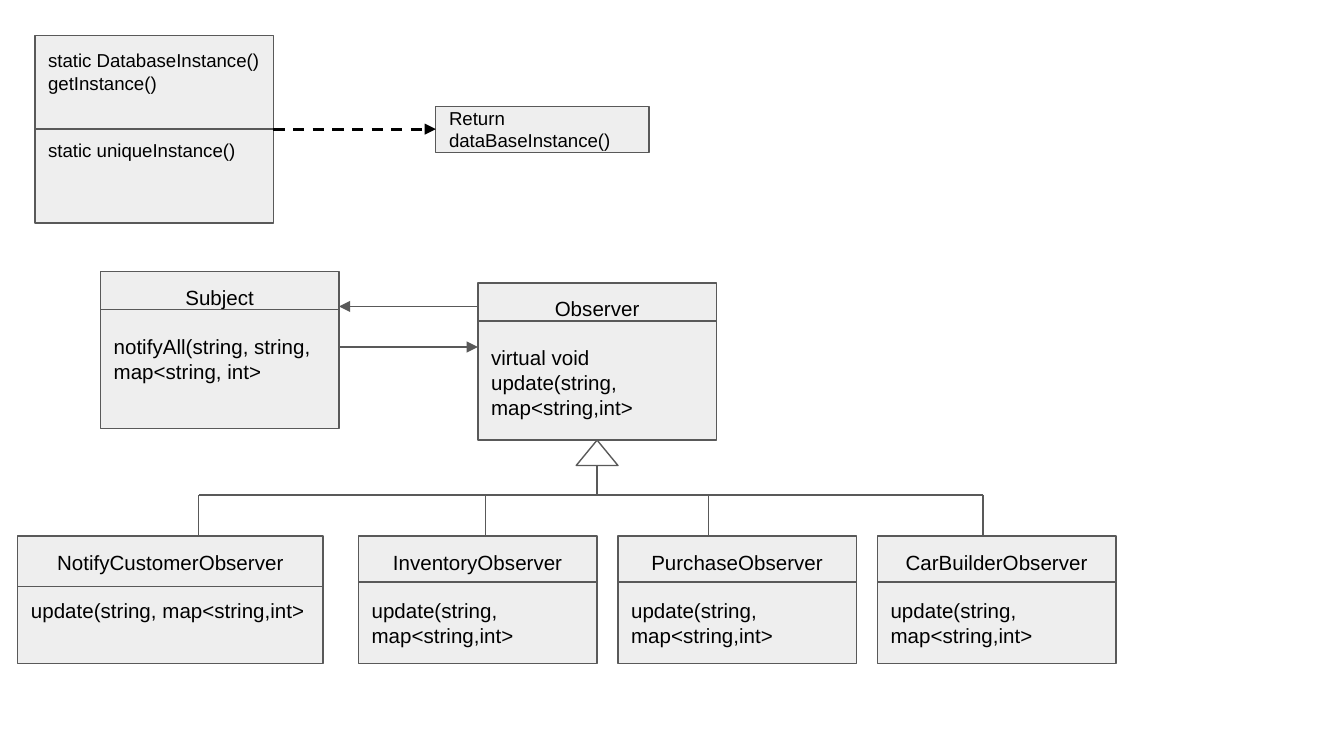
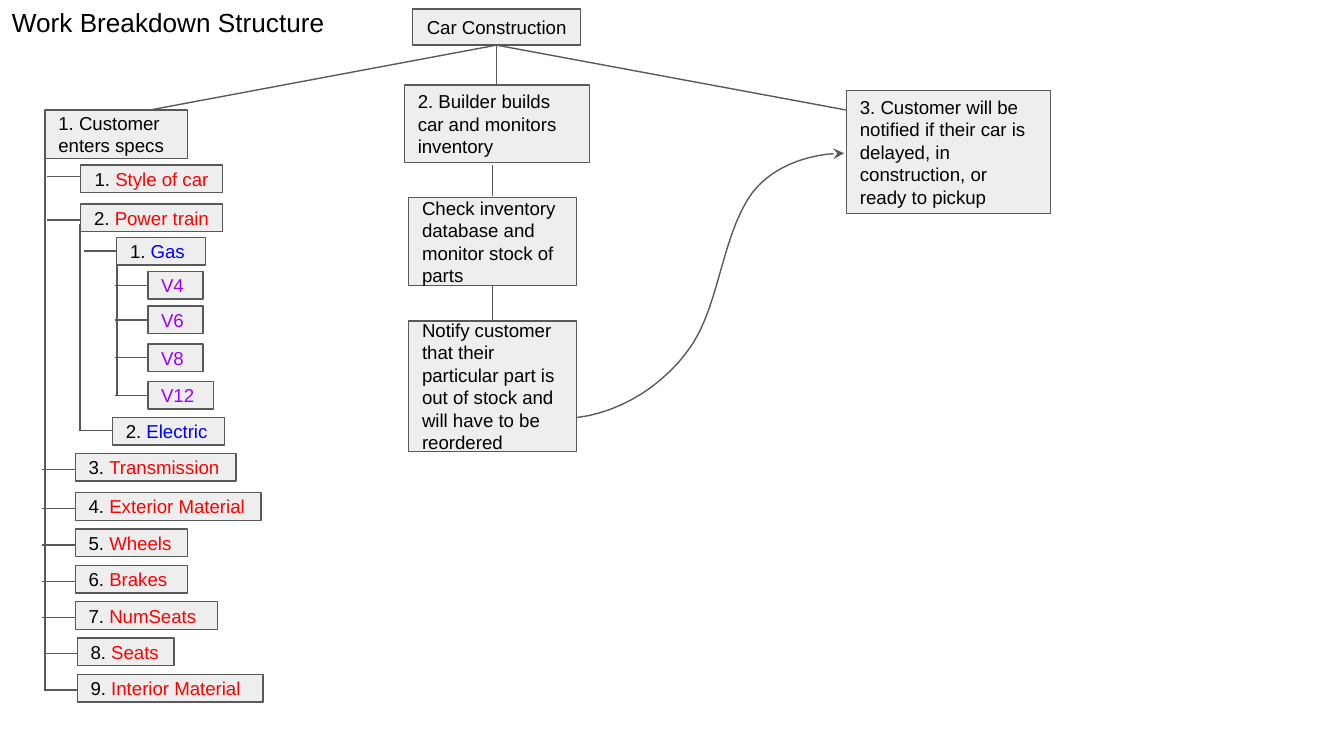
from lxml import etree
from pptx import Presentation
from pptx.dml.color import RGBColor
from pptx.enum import dml, shapes, text
from pptx.oxml import ns
from pptx.util import Pt

BLACK = RGBColor(0, 0, 0)
GRAY = RGBColor(0x59, 0x59, 0x59)
PALE = RGBColor(0xEE, 0xEE, 0xEE)
RED = RGBColor(0xFF, 0, 0)
BLUE = RGBColor(0, 0, 0xFF)
PURPLE = RGBColor(0x99, 0, 0xFF)
FONT = "Arial"
INSET = Pt(7.2)
CLASS_W = 127.8

prs = Presentation()
prs.slide_width, prs.slide_height = Pt(720), Pt(405)
blank = prs.slide_layouts[6]


def box(parent, x, y, w, h, label, size=10, item="", color=BLACK):
    sp = parent.add_shape(shapes.MSO_SHAPE.RECTANGLE, Pt(x), Pt(y), Pt(w), Pt(h))
    sp.shadow.inherit = False
    sp.fill.solid()
    sp.fill.fore_color.rgb = PALE
    sp.line.color.rgb = GRAY
    sp.line.width = Pt(0.75)
    tf = sp.text_frame
    tf.word_wrap = True
    tf.vertical_anchor = text.MSO_ANCHOR.MIDDLE
    tf.margin_left = tf.margin_right = tf.margin_top = tf.margin_bottom = INSET
    tf.text = label
    if item:
        tf.paragraphs[0].add_run().text = item
    for p in tf.paragraphs:
        p.alignment = text.PP_ALIGN.LEFT
        for r in p.runs:
            r.font.name, r.font.size = FONT, Pt(size)
            r.font.color.rgb = color if r.text == item else BLACK
    return tf


def line(parent, x1, y1, x2, y2, tail=None):
    c = parent.add_connector(shapes.MSO_CONNECTOR.STRAIGHT, Pt(x1), Pt(y1), Pt(x2), Pt(y2))
    c.line.color.rgb = GRAY
    c.line.width = Pt(0.75)
    etree.SubElement(c._element.spPr, ns.qn("a:effectLst"))
    if tail:
        etree.SubElement(c.get_or_add_ln(), ns.qn("a:tailEnd"), type=tail)
    return c


s = prs.slides.add_slide(blank)

tf = box(s.shapes, 18.7, 19.2, CLASS_W, 100.4,
         "static DatabaseInstance()\ngetInstance()\nstatic uniqueInstance()")
tf.vertical_anchor = text.MSO_ANCHOR.TOP
tf.paragraphs[2].space_before = Pt(24)
line(s.shapes, 146.5, 69.2, 18.7, 69.2)
box(s.shapes, 233.5, 57, 114.3, 24.6, "Return dataBaseInstance()")
call = line(s.shapes, 146.5, 69.2, 233.5, 69.2, "triangle")
call.line.color.rgb = BLACK
call.line.width = Pt(1.5)
call.line.dash_style = dml.MSO_LINE.DASH

update = "update(string, map<string,int>"
classes = [
    (53.8, 145.5, CLASS_W, 84.2, 20.4, "Subject", "notifyAll(string, string, map<string, int>"),
    (256, 151.6, CLASS_W, 84.2, 20.4, "Observer", "virtual void " + update),
    (9.5, 287.2, 163.6, 68.2, 27, "NotifyCustomerObserver", update),
]
for i, name in enumerate(["InventoryObserver", "PurchaseObserver", "CarBuilderObserver"]):
    classes.append((192 + 139 * i, 287.2, CLASS_W, 68.2, 24.6, name, update))
for x, y, w, h, rule, name, method in classes:
    group = s.shapes.add_group_shape().shapes
    tf = box(group, x, y, w, h, name + "\n" + method, 11)
    tf.vertical_anchor = text.MSO_ANCHOR.TOP
    tf.paragraphs[0].alignment = text.PP_ALIGN.CENTER
    tf.paragraphs[1].space_before = Pt(13)
    line(group, x + w, y + rule, x, y + rule)

line(s.shapes, 256, 164.2, 181.6, 164.2, "triangle")
line(s.shapes, 181.6, 185.9, 256, 185.9, "triangle")

sp = s.shapes.add_shape(shapes.MSO_SHAPE.ISOSCELES_TRIANGLE, Pt(308.7), Pt(235.8), Pt(22.4), Pt(13.6))
sp.shadow.inherit = False
sp.fill.background()
sp.line.color.rgb = GRAY
sp.line.width = Pt(0.75)
line(s.shapes, 319.9, 249.4, 319.9, 265.2)
line(s.shapes, 526.6, 265.2, 106.4, 265.2)
for x in (106.4, 260.1, 379.6, 526.6):
    line(s.shapes, x, 265.2, x, 287.2)

s = prs.slides.add_slide(blank)

sp = s.shapes.add_textbox(Pt(-0.7), Pt(-3.6), Pt(195), Pt(31.7))
tf = sp.text_frame
tf.word_wrap = True
tf.margin_left = tf.margin_right = tf.margin_top = tf.margin_bottom = INSET
tf.text = "Work Breakdown Structure"
r = tf.paragraphs[0].runs[0]
r.font.name, r.font.size = FONT, Pt(14)
r.font.color.rgb = BLACK

tf = box(s.shapes, 221, 4.8, 90, 19.4, "Car Construction")
tf.paragraphs[0].alignment = text.PP_ALIGN.CENTER
for x, y, w, h, label in [
    (24.2, 59, 76.3, 25.9, "1. Customer enters specs"),
    (216.7, 45.5, 99, 41.5, "2. Builder builds car and monitors inventory"),
    (453.6, 48.4, 109.3, 65.9,
     "3. Customer will be notified if their car is delayed, in construction, or ready to pickup"),
    (219, 105.8, 90, 47.3, "Check inventory database and monitor stock of parts"),
    (219, 172, 90, 69.8,
     "Notify customer that their particular part is out of stock and will have to be reordered"),
]:
    box(s.shapes, x, y, w, h, label)

for x1, y1, x2, y2 in [
    (266, 24.2, 80, 59), (266, 24.2, 266, 45.5), (266, 24.2, 453.6, 59),
    (264, 88.5, 264, 105), (264, 153.1, 264, 172),
    (24.2, 78.5, 24.2, 370), (42.8, 120, 42.8, 231), (62.6, 142.6, 62.6, 212.4),
]:
    line(s.shapes, x1, y1, x2, y2)

for x, y, w, tick, number, item, color in [
    (43, 88.5, 76.3, 6, "1. ", "Style of car", RED),
    (43, 109.4, 76.3, 8.5, "2. ", "Power train", RED),
    (62.6, 127.2, 47.5, 7.2, "1. ", "Gas", BLUE),
    (79.2, 145.5, 29.5, 7.4, "", "V4", PURPLE),
    (79.2, 164, 29.5, 7.4, "", "V6", PURPLE),
    (79.2, 184.3, 29.5, 7.4, "", "V8", PURPLE),
    (79.2, 204.4, 35.3, 7.4, "", "V12", PURPLE),
    (60.3, 223.7, 60, 7, "2. ", "Electric", BLUE),
    (40.4, 243, 86, 8.4, "3. ", "Transmission", RED),
    (40.4, 264, 99.4, 8.4, "4. ", "Exterior Material", RED),
    (40.4, 283.5, 60, 8.4, "5. ", "Wheels", RED),
    (40.4, 303, 60, 8.4, "6. ", "Brakes", RED),
    (40.4, 322.4, 76.3, 8.4, "7. ", "NumSeats", RED),
    (41.4, 341.8, 51.8, 8.4, "8. ", "Seats", RED),
    (41.4, 361.3, 99.4, 8.4, "9. ", "Interior Material", RED),
]:
    line(s.shapes, x - 17.8, y + tick, x, y + tick)
    tf = box(s.shapes, x, y, w, 14.8, number, 10, item, color)
    if x == 43:
        tf.paragraphs[0].alignment = text.PP_ALIGN.CENTER

start = (309, 223.7)
points = []
a = start
for b, c, d in [
    ((332.6, 221), (357.1, 205.9), (371.5, 183.6)),
    ((385.2, 161.3), (386.6, 130.3), (400.3, 107.3)),
    ((411.1, 89.3), (433.4, 82.1), (452.2, 82.1)),
]:
    for step in range(1, 13):
        t = step / 12
        points.append([
            Pt((1 - t) ** 3 * a[k] + 3 * (1 - t) ** 2 * t * b[k]
               + 3 * (1 - t) * t ** 2 * c[k] + t ** 3 * d[k])
            for k in (0, 1)
        ])
    a = d
fb = s.shapes.build_freeform(Pt(start[0]), Pt(start[1]))
fb.add_line_segments(points, close=False)
sp = fb.convert_to_shape()
sp.shadow.inherit = False
sp.fill.background()
sp.line.color.rgb = GRAY
sp.line.width = Pt(0.75)
etree.SubElement(sp.get_or_add_ln(), ns.qn("a:tailEnd"), type="stealth")

prs.save("out.pptx")
